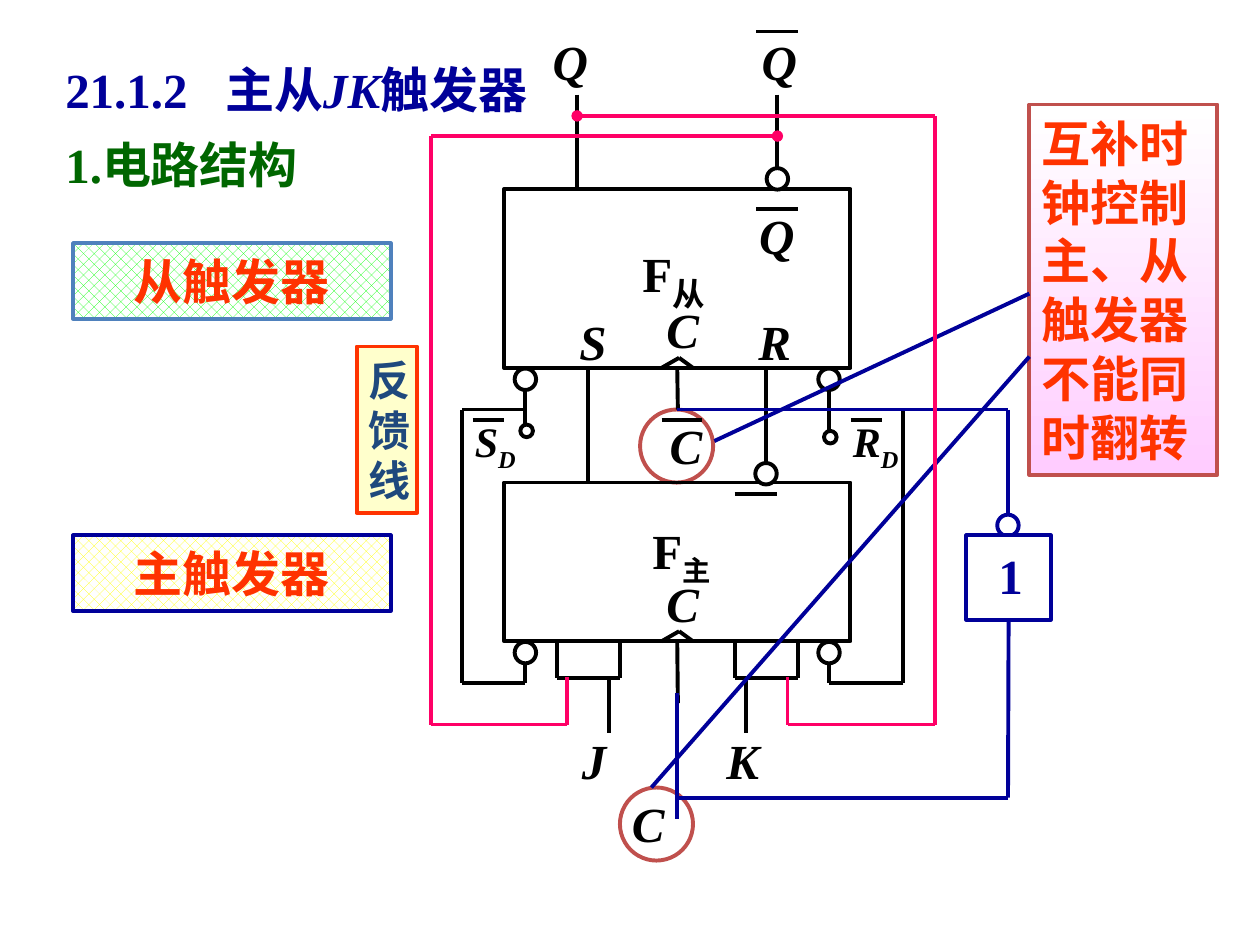
"""Build the slide on the circuit structure of the master-slave JK flip-flop."""
from pptx import Presentation, util as u
from pptx.dml.color import RGBColor
from pptx.enum import dml, shapes, text
from pptx.oxml.ns import qn
from lxml import etree

BLACK, NAVY, PINK, RED = "000000", "000099", "FF0066", "FF3300"
BRICK, WHITE = "C0504D", "FFFFFF"
RECT, OVAL = shapes.MSO_SHAPE.RECTANGLE, shapes.MSO_SHAPE.OVAL


def rgb(value):
    """Turn a hex string into a colour."""
    return RGBColor.from_string(value)


def write(tf, *runs, size=28, color=BLACK, italic=False, center=False, middle=False):
    """Fill a text frame with runs, each a string or a (string, format) pair."""
    tf.word_wrap = True
    tf.vertical_anchor = text.MSO_ANCHOR.MIDDLE if middle else text.MSO_ANCHOR.TOP
    p = tf.paragraphs[0]
    p.alignment = text.PP_ALIGN.CENTER if center else text.PP_ALIGN.LEFT
    for run in runs:
        content, fmt = (run, {}) if isinstance(run, str) else run
        r = p.add_run()
        r.text = content
        r.font.name = "Times New Roman"
        r.font.size = u.Pt(fmt.get("size", size))
        r.font.bold = True
        r.font.italic = fmt.get("italic", italic)
        r.font.color.rgb = rgb(color)
        if fmt.get("sub"):
            r._r.get_or_add_rPr().set("baseline", "-25000")
    return p


def add_text(s, x, y, w, h, *runs, **fmt):
    """Add a text box and return its paragraph."""
    sp = s.shapes.add_textbox(*map(u.Inches, (x, y, w, h)))
    return write(sp.text_frame, *runs, **fmt)


def add_symbol(s, x, y, w, letter, **fmt):
    """Add a centred symbol that does not wrap."""
    sp = s.shapes.add_textbox(*map(u.Inches, (x, y, w, 0.57)))
    write(sp.text_frame, letter, center=True, middle=True, **{"italic": True, **fmt})
    sp.text_frame.word_wrap = False


def add_box(s, kind, x, y, w, h, fill=None, line=BLACK, width=2.25):
    """Add an outlined preset shape."""
    sp = s.shapes.add_shape(kind, *map(u.Inches, (x, y, w, h)))
    sp.shadow.inherit = False
    if fill:
        sp.fill.solid()
        sp.fill.fore_color.rgb = rgb(fill)
    else:
        sp.fill.background()
    sp.line.color.rgb = rgb(line)
    sp.line.width = u.Pt(width)
    return sp


def add_bubble(s, cx, cy, size=0.17, fill=WHITE, line=BLACK, width=2.25):
    """Add a small circle around a centre point."""
    return add_box(s, OVAL, cx - size / 2, cy - size / 2, size, size, fill, line, width)


def add_wire(s, *points, color=BLACK):
    """Add straight connectors through the points and return them."""
    wires = []
    for start, end in zip(points, points[1:]):
        cn = s.shapes.add_connector(
            shapes.MSO_CONNECTOR.STRAIGHT, *map(u.Inches, (*start, *end)))
        cn.line.color.rgb = rgb(color)
        cn.line.width = u.Pt(2.25)
        etree.SubElement(cn._element.spPr, qn("a:effectLst"))
        wires.append(cn)
    return wires


def add_headings(s):
    """Add the two headings."""
    p = add_text(s, 0.42, 0.42, 4.33, 0.58, "21.1.2\t主从", ("JK", {"italic": True}),
                 "触发器", color=NAVY)
    tabs = etree.SubElement(p._p.get_or_add_pPr(), qn("a:tabLst"))
    etree.SubElement(tabs, qn("a:tab"), pos=str(u.Inches(1.27)), algn="l")
    add_text(s, 0.42, 1.02, 2.58, 0.57, "1.电路结构", color="006600")


def add_labels(s):
    """Add the framed names on the left."""
    for y, name, fore, line in ((1.93, "从触发器", "00FF00", "4F81BD"),
                                (4.25, "主触发器", "FFFF00", NAVY)):
        sp = add_box(s, RECT, 0.58, y, 2.52, 0.6, line=line)
        sp.fill.patterned()
        sp.fill.pattern = dml.MSO_PATTERN.from_xml("pct40")
        sp.fill.fore_color.rgb = rgb(fore)
        sp.fill.back_color.rgb = rgb(WHITE)
        write(sp.text_frame, name, color=RED, center=True, middle=True)
    sp = add_box(s, RECT, 2.83, 2.75, 0.48, 1.32, "FFFFCC", RED)
    write(sp.text_frame, "反馈线", size=24, color="1F497D", center=True, middle=True)


def add_clock_marks(s):
    """Add the circled clock symbols."""
    for x, y, text_x in ((5.08, 3.25, 5.21), (4.92, 6.25, 4.91)):
        add_box(s, OVAL, x, y, 0.58, 0.58, line=BRICK)
        add_symbol(s, text_x, y, 0.47, "C")
    add_wire(s, (5.25, 3.33), (5.57, 3.33))


def add_stage(s, top, height, name_x, name_y, clock_y, name, size):
    """Add a flip-flop block with its name, clock input and lower bubbles."""
    bottom = top + height
    block = add_box(s, RECT, 4, top, 2.75, height)
    add_text(s, name_x, name_y, 0.98, 0.57, "F", (name, {"sub": True, "size": size}))
    add_text(s, 5.19, clock_y, 0.64, 0.57, "C", italic=True)
    add_wire(s, (5.25, bottom), (5.39, bottom - 0.08), (5.5, bottom))
    for x in (4.17, 6.58):
        add_bubble(s, x, bottom + 0.09)
    return block


def add_master(s):
    """Add the master stage with its inputs."""
    block = add_stage(s, 3.83, 1.26, 5.08, 4.08, 4.5, "主", 28)
    add_wire(s, (4.17, 3.25), (3.67, 3.25), (3.67, 5.42), (4.17, 5.42), (4.17, 5.25))
    add_wire(s, (6.58, 3.25), (7.17, 3.25), (7.17, 5.42), (6.58, 5.42), (6.58, 5.25))
    add_wire(s, (5.38, 5.09), (5.38, 5.58))[0].begin_connect(block, 2)
    for x, pin_x, text_x, name in ((4.42, 4.83, 4.48, "J"), (5.83, 5.92, 5.66, "K")):
        add_wire(s, (x, 5.08), (x, 5.38), (x + 0.5, 5.38), (x + 0.5, 5.08))
        add_wire(s, (pin_x, 5.38), (pin_x, 5.82))
        add_symbol(s, text_x, 5.75, 0.47, name)
    add_wire(s, (5.83, 3.92), (6.17, 3.92))


def add_slave(s):
    """Add the slave stage with its outputs and set and reset pins."""
    block = add_stage(s, 1.5, 1.42, 5, 1.83, 2.33, "从", 32)
    add_wire(s, (5.38, 2.92), (5.38, 3.25))[0].begin_connect(block, 2)
    add_wire(s, (4.58, 0.75), (4.58, 1.52))
    add_wire(s, (6.17, 0.75), (6.17, 1.35))
    add_bubble(s, 6.17, 1.42)
    for x, y in ((4.28, 0.2), (5.94, 0.2), (5.92, 1.58)):
        add_symbol(s, x, y, 0.49, "Q")
    for y in (0.25, 1.66):
        add_wire(s, (6, y), (6.33, y))
    for x, name in ((4.5, "S"), (5.92, "R")):
        add_text(s, x, 2.42, 0.46, 0.57, name, italic=True)
    add_wire(s, (4.67, 2.92), (4.67, 3.83))
    add_wire(s, (6.08, 2.92), (6.08, 3.7))
    add_bubble(s, 6.08, 3.76)
    for x, y, text_x, name in ((4.17, 3.42, 3.67, "S"), (6.58, 3.47, 6.67, "R")):
        add_wire(s, (x, 3.08), (x, 3.42))
        add_bubble(s, x + 0.01, y, 0.1)
        add_text(s, text_x, 3.25, 0.75, 0.5, name, ("D", {"sub": True}),
                 size=24, italic=True)
        add_wire(s, (text_x + 0.08, 3.33), (text_x + 0.33, 3.33))


def add_inverter(s):
    """Add the inverter and the clock wires."""
    add_wire(s, (5.37, 3.25), (8, 3.25), (8, 4.08), color=NAVY)
    add_bubble(s, 8, 4.17, line=NAVY)
    gate = add_box(s, RECT, 7.67, 4.25, 0.67, 0.67, WHITE, NAVY)
    add_wire(s, (5.37, 6.33), (8, 6.33), (8, 4.92), color=NAVY)[-1].end_connect(gate, 2)
    add_symbol(s, 7.82, 4.28, 0.4, "1", color=NAVY, italic=False)
    add_wire(s, (5.37, 5.5), (5.37, 6.5), color=NAVY)


def add_note(s):
    """Add the note on complementary clocks and its leader lines."""
    sp = add_box(s, RECT, 8.17, 0.83, 1.49, 2.94, line=BRICK)
    sp.fill.gradient()
    sp.fill.gradient_angle = 270
    for stop, color in zip(sp.fill.gradient_stops, (WHITE, "FFCCFF")):
        stop.color.rgb = rgb(color)
    write(sp.text_frame, "互补时钟控制主、从触发器不能同时翻转", color=RED, middle=True)
    add_wire(s, (5.17, 6.25), (8.17, 2.83), color=NAVY)
    add_wire(s, (5.67, 3.5), (8.17, 2.33), color=NAVY)


def add_feedback(s):
    """Add the feedback wires from the outputs to the inputs."""
    for x, y, side, pin in ((6.17, 1.08, 3.42, 4.5), (4.58, 0.92, 7.42, 6.25)):
        add_wire(s, (x, y), (side, y), (side, 5.75), (pin, 5.75), (pin, 5.37), color=PINK)
        add_bubble(s, x, y, 0.08, PINK, PINK, 0.75)


def main():
    """Build and save the slide."""
    prs = Presentation()
    prs.slide_width, prs.slide_height = u.Inches(10), u.Inches(7.5)
    s = prs.slides.add_slide(prs.slide_layouts[6])
    for add_part in (add_headings, add_labels, add_clock_marks, add_master, add_slave,
                     add_inverter, add_note, add_feedback):
        add_part(s)
    prs.save("out.pptx")


if __name__ == "__main__":
    main()
